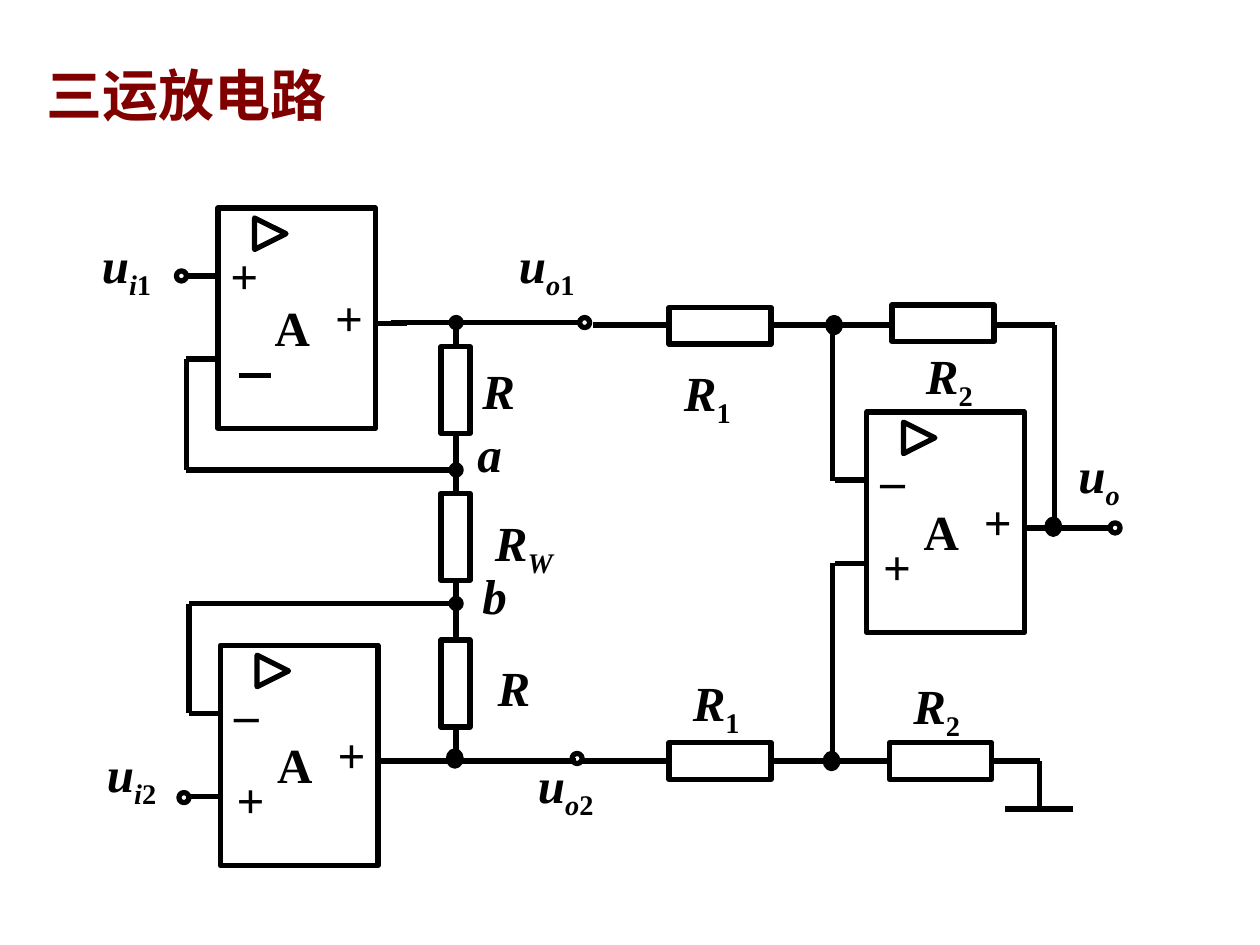
from dataclasses import dataclass

from lxml.etree import SubElement
from pptx import Presentation
from pptx.dml.color import RGBColor
from pptx.enum.shapes import MSO_CONNECTOR as Link, MSO_SHAPE as Shape
from pptx.enum.text import MSO_ANCHOR as Anchor, MSO_AUTO_SIZE as AutoSize, PP_ALIGN as Align
from pptx.oxml.ns import qn
from pptx.util import Inches, Pt

COLUMNS, ROWS = 100, 75
SLIDE_WIDTH, SLIDE_HEIGHT = Inches(10), Inches(7.5)


@dataclass(frozen=True)
class Theme:
    """Colours, fonts and type sizes of the slide."""
    ink: RGBColor = RGBColor(0, 0, 0)
    paper: RGBColor = RGBColor(255, 255, 255)
    heading: RGBColor = RGBColor(128, 0, 0)
    heading_font: str = "Noto Sans CJK SC"
    symbol_font: str = "Times New Roman"
    heading_size: Pt = Pt(32)
    symbol_size: Pt = Pt(28)
    stroke: Pt = Pt(3)


THEME = Theme()


@dataclass(frozen=True)
class Box:
    """An area of the slide in grid columns and rows."""
    left: float
    top: float
    width: float
    height: float

    def area(self, x, y, width=0, height=0):
        """Return an area offset from this one's top left corner."""
        return Box(self.left + x, self.top + y, width, height)

    def emu(self):
        """Return left, top, width and height as slide lengths."""
        column, row = SLIDE_WIDTH / COLUMNS, SLIDE_HEIGHT / ROWS
        return (round(self.left * column), round(self.top * row),
                round(self.width * column), round(self.height * row))


def outline(slide, kind, box, fill=None):
    """Add a stroked preset shape, hollow unless a fill is given."""
    shape = slide.shapes.add_shape(kind, *box.emu())
    shape.shadow.inherit = False
    if fill is None:
        shape.fill.background()
    else:
        shape.fill.solid()
        shape.fill.fore_color.rgb = fill
    shape.line.color.rgb = THEME.ink
    shape.line.width = THEME.stroke
    return shape


def wire(slide, box, *points):
    """Draw straight wires through the points and return them."""
    wires = []
    for start, end in zip(points, points[1:]):
        ends = box.area(*start).emu()[:2] + box.area(*end).emu()[:2]
        segment = slide.shapes.add_connector(Link.STRAIGHT, *ends)
        segment.line.color.rgb = THEME.ink
        segment.line.width = THEME.stroke
        SubElement(segment._element.spPr, qn("a:effectLst"))
        wires.append(segment)
    return wires


def dot(slide, box, x, y, width=0.8, height=0.8, fill=None):
    """Centre a terminal or junction on a point of the box."""
    outline(slide, Shape.OVAL, box.area(x - width / 2, y - height / 2, width, height), fill)


def write(slide, box, text, font_name, size, color):
    """Add a bold one-line text box and return its frame and paragraph."""
    frame = slide.shapes.add_textbox(*box.emu()).text_frame
    frame.word_wrap = True
    frame.auto_size = AutoSize.SHAPE_TO_FIT_TEXT
    line = frame.paragraphs[0]
    line.add_run().text = text
    font = line.font
    font.name, font.size, font.bold = font_name, size, True
    font.color.rgb = color
    return frame, line


def symbol(slide, box, base, subscript=""):
    """Write an italic quantity whose subscript has upright digits."""
    line = write(slide, box, base, THEME.symbol_font, THEME.symbol_size, THEME.ink)[1]
    line.runs[0].font.italic = True
    for mark in subscript:
        run = line.add_run()
        run.text = mark
        run.font.italic = mark.isalpha()
        run._r.get_or_add_rPr().set("baseline", "-25000")


def sign(slide, box, text):
    """Write an upright mark centred in its box."""
    frame, line = write(slide, box, text, THEME.symbol_font, THEME.symbol_size, THEME.ink)
    frame.word_wrap = False
    frame.vertical_anchor = Anchor.MIDDLE
    line.alignment = Align.CENTER


def title(slide, box):
    """Write the slide heading."""
    line = write(slide, box, "三运放电路", THEME.heading_font,
                 THEME.heading_size, THEME.heading)[1]
    SubElement(line.font._element, qn("a:ea")).set("typeface", THEME.heading_font)


def op_amp(slide, box, upper_input):
    """Draw an amplifier with two inputs on the left and one output."""
    outline(slide, Shape.RECTANGLE, box)
    stub, width = 2.5, box.width
    for pin in (5.4, 12):
        wire(slide, box, (-stub, pin), (0, pin))
    wire(slide, box, (width, 9.2), (width + stub, 9.2))
    outline(slide, Shape.FLOWCHART_EXTRACT, box.area(2.9, 0.8, 2.5, 2.5)).rotation = 90
    sign(slide, box.area(0, 2.5, 4.1, 5.7), upper_input)
    sign(slide, box.area(8.3, 5.8, 4.2, 5.7), "+")
    sign(slide, box.area(3.5, 6.6, 4.8, 5.7), "A")
    if upper_input == "+":
        wire(slide, box, (1.7, 13.3), (4.2, 13.3))
    else:
        write(slide, box.area(0.3, 9.4, 5.5, 5.7), "+", THEME.symbol_font,
              THEME.symbol_size, THEME.ink)


def input_stage(slide, box):
    """Draw the two input amplifiers and the resistor chain between them."""
    op_amp(slide, box.area(12.3, 1.5, 12.5, 17.5), "+")
    op_amp(slide, box.area(12.5, 36.2, 12.5, 17.5), "–")
    chain, upper, a, b, lower = 31.2, 10.6, 22.3, 32.9, 45.4
    wire(slide, box, (26, upper), (40.9, upper))
    wire(slide, box, (25.8, lower), (40.7, lower))
    wire(slide, box, (chain, upper), (chain, lower))
    wire(slide, box, (9.8, 13.5), (9.8, a), (chain, a))
    wire(slide, box, (10, 41.6), (10, b), (chain, b))
    for place in range(3):
        outline(slide, Shape.RECTANGLE, box.area(30, 12.5 + 11.65 * place, 2.3, 6.9), THEME.paper)
    for junction in (upper, a, b):
        dot(slide, box, chain, junction, fill=THEME.ink)
    dot(slide, box, 31.1, 45.2, 1, 1.2, THEME.ink)
    for terminal in ((9.4, 6.9), (9.6, 48.3), (41.4, upper), (40.8, 45.2)):
        dot(slide, box, *terminal)
    for x, y, width, base, subscript in (
            (2.1, 3.1, 12.9, "u", "i1"), (2.5, 43.5, 12.9, "u", "i2"),
            (35.2, 3.1, 12.9, "u", "o1"), (36.7, 44.4, 12.9, "u", "o2"),
            (32.3, 13.1, 6.9, "R", ""), (33.3, 25.2, 11.1, "R", "W"),
            (33.5, 36.7, 6.9, "R", ""), (31.9, 18.1, 5.6, "a", ""),
            (32.3, 29.4, 5.6, "b", "")):
        symbol(slide, box.area(x, y, width, 5.7), base, subscript)


def output_stage(slide, box):
    """Draw the difference amplifier with its resistors and ground."""
    op_amp(slide, box.area(23.8, 12.7, 12.5, 17.5), "–")
    upper, output, lower, inputs, feedback, ground = 5.8, 21.9, 40.4, 21.1, 38.7, 44.2
    wire(slide, box, (2.1, upper), (feedback, upper), (feedback, output))
    wire(slide, box, (1, lower), (33, lower))
    wire(slide, box, (inputs, upper), (inputs, 18.2))
    wire(slide, box, (inputs, 24.7), (inputs, lower))
    wire(slide, box, (37.5, output), (43.3, output))
    for x, y in ((8.1, 4.4), (25.8, 4.2), (8.1, 38.95), (25.6, 38.95)):
        resistor = outline(slide, Shape.RECTANGLE, box.area(x, y, 8.1, 2.9), THEME.paper)
    to_ground = wire(slide, box, (33.7, lower), (37.5, lower), (37.5, ground))[0]
    to_ground.begin_connect(resistor, 3)
    wire(slide, box, (34.8, ground), (40.2, ground))
    for x, y in ((21.2, upper), (38.6, 21.8), (21, lower)):
        dot(slide, box, x, y, 1, 1.2, THEME.ink)
    dot(slide, box, 43.5, output)
    for x, y, width, base, subscript in (
            (8.3, 8.3, 6.9, "R", "1"), (27.5, 6.9, 6.9, "R", "2"),
            (9, 32.9, 6.9, "R", "1"), (26.5, 33.1, 6.9, "R", "2"),
            (39.6, 14.8, 14.4, "u", "o")):
        symbol(slide, box.area(x, y, width, 5.7), base, subscript)


def main():
    """Build the circuit slide and save it."""
    deck = Presentation()
    deck.slide_width, deck.slide_height = SLIDE_WIDTH, SLIDE_HEIGHT
    slide = deck.slides.add_slide(deck.slide_layouts[6])
    title(slide, Box(2.7, 4.3, 74.8, 6.3))
    input_stage(slide, Box(5, 15, 50, 55))
    output_stage(slide, Box(45, 20, 54, 46))
    deck.save("out.pptx")


if __name__ == "__main__":
    main()
